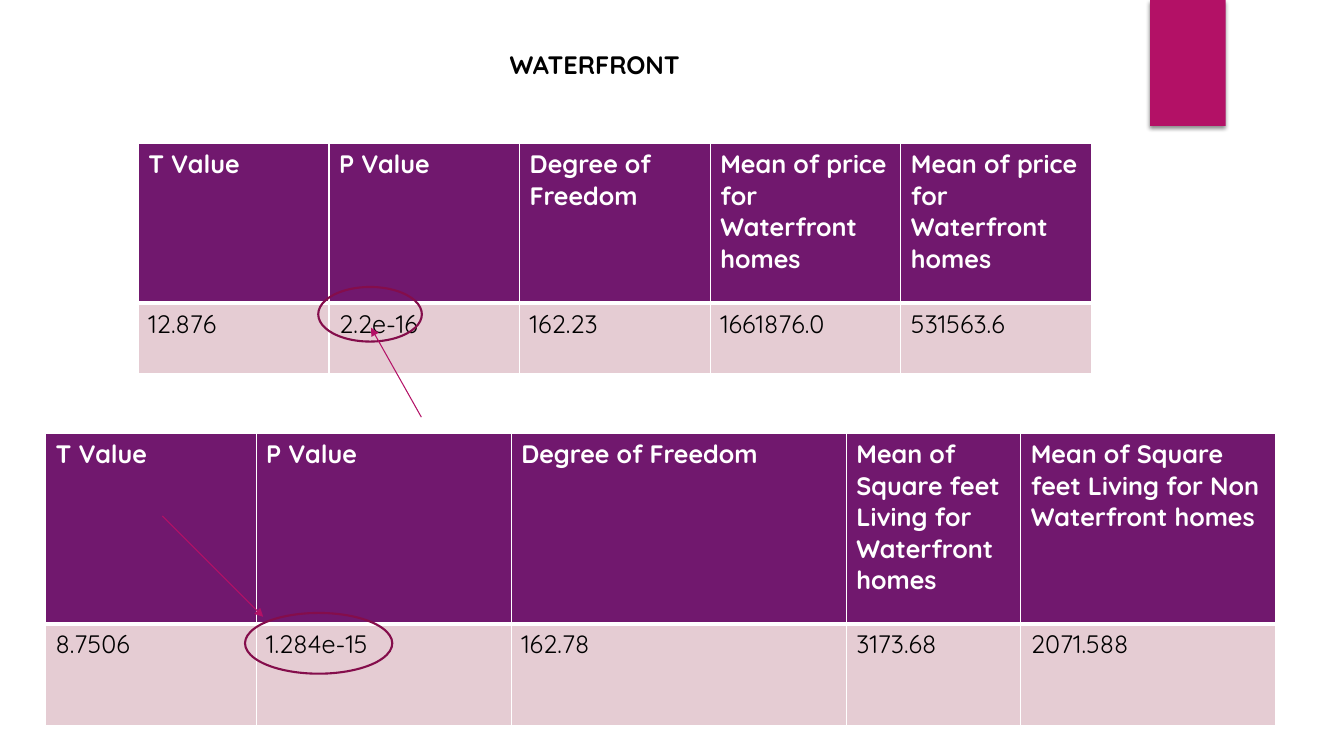
from lxml.etree import SubElement
from pptx import Presentation
from pptx.dml.color import RGBColor
from pptx.enum.shapes import MSO_CONNECTOR as Connector, MSO_SHAPE as Shape
from pptx.enum.text import MSO_ANCHOR as Anchor, MSO_AUTO_SIZE as AutoSize, PP_ALIGN as Align
from pptx.oxml import parse_xml
from pptx.oxml.ns import nsdecls, qn
from pptx.util import Pt

COLORS = {
    "accent": "B31166",
    "ring": "840D4B",
    "header": "71186E",
    "body": "E5CCD3",
    "white": "FFFFFF",
    "black": "000000",
}
FONT = {"name": "Quicksand", "size": Pt(18)}

PRICE_TABLE = [
    ["T Value", "P Value", "Degree of Freedom",
     "Mean of price for Waterfront homes", "Mean of price for Waterfront homes"],
    ["12.876", "2.2e-16", "162.23", "1661876.0", "531563.6"],
]
LIVING_TABLE = [
    ["T Value", "P Value", "Degree of Freedom",
     "Mean of Square feet Living for Waterfront homes",
     "Mean of Square feet Living for Non Waterfront homes"],
    ["8.7506", "1.284e-15", "162.78", "3173.68", "2071.588"],
]


def rgb(name):
    return RGBColor.from_string(COLORS[name])


def set_attributes(target, values):
    for name, value in values.items():
        setattr(target, name, value)


def format_font(font, color, bold):
    set_attributes(font, {**FONT, "bold": bold})
    font.color.rgb = rgb(color)


def add_title(slide, text, left, top, width, height):
    title = slide.shapes.title
    set_attributes(title, {"left": Pt(left), "top": Pt(top),
                           "width": Pt(width), "height": Pt(height)})
    frame = title.text_frame
    set_attributes(frame, {"text": text, "word_wrap": True, "vertical_anchor": Anchor.TOP,
                           "auto_size": AutoSize.SHAPE_TO_FIT_TEXT})
    paragraph = frame.paragraphs[0]
    paragraph.alignment = Align.CENTER
    format_font(paragraph.runs[0].font, "black", True)


def add_accent_bar(slide, left, top, width, height):
    bar = slide.shapes.add_shape(Shape.RECTANGLE, Pt(left), Pt(top), Pt(width), Pt(height))
    bar.fill.solid()
    bar.fill.fore_color.rgb = rgb("accent")
    bar.line.fill.background()
    # Soft shadow straight below
    bar._element.spPr.append(parse_xml(
        f'<a:effectLst {nsdecls("a")}>'
        f'<a:outerShdw blurRad="{Pt(3)}" dist="{Pt(2)}" dir="5400000" rotWithShape="0">'
        f'<a:srgbClr val="{COLORS["black"]}"><a:alpha val="45000"/></a:srgbClr>'
        '</a:outerShdw></a:effectLst>'))


def set_borders(cell, widths):
    properties = cell._tc.get_or_add_tcPr()
    for index, (side, width) in enumerate(widths.items()):
        properties.insert(index, parse_xml(
            f'<a:ln{side} {nsdecls("a")} w="{Pt(width)}"><a:solidFill>'
            f'<a:srgbClr val="{COLORS["white"]}"/></a:solidFill></a:ln{side}>'))


def add_result_table(slide, rows, left, top, column_widths, row_heights):
    table = slide.shapes.add_table(
        len(rows), len(column_widths), Pt(left), Pt(top),
        Pt(sum(column_widths)), Pt(sum(row_heights))).table
    for column, width in zip(table.columns, column_widths):
        column.width = Pt(width)
    for row, height in zip(table.rows, row_heights):
        row.height = Pt(height)
    for row_index, texts in enumerate(rows):
        is_header = row_index == 0
        for column_index, text in enumerate(texts):
            cell = table.cell(row_index, column_index)
            cell.text = text
            cell.fill.solid()
            cell.fill.fore_color.rgb = rgb("header" if is_header else "body")
            format_font(cell.text_frame.paragraphs[0].runs[0].font,
                        "white" if is_header else "black", is_header)
            # The edge between header and values is thicker
            set_borders(cell, {"L": 1, "R": 1, "T": 1 if is_header else 3,
                               "B": 3 if is_header else 1})


def add_ring(slide, left, top, width, height):
    ring = slide.shapes.add_shape(Shape.OVAL, Pt(left), Pt(top), Pt(width), Pt(height))
    ring.shadow.inherit = False
    ring.fill.background()
    ring.line.color.rgb = rgb("ring")
    ring.line.width = Pt(1.5)


def add_arrow(slide, start, end):
    arrow = slide.shapes.add_connector(Connector.STRAIGHT, *map(Pt, start + end))
    arrow.line.color.rgb = rgb("accent")
    arrow.line.width = Pt(0.75)
    SubElement(arrow.line._get_or_add_ln(), qn("a:tailEnd"), type="triangle")
    SubElement(arrow._element.spPr, qn("a:effectLst"))


def main():
    presentation = Presentation()
    set_attributes(presentation, {"slide_width": Pt(960), "slide_height": Pt(540)})
    slide = presentation.slides.add_slide(presentation.slide_layouts[5])

    # Heading and decoration
    add_accent_bar(slide, 821.5, 0, 54, 90)
    add_title(slide, "WATERFRONT", 301.7, 31.7, 246.2, 29)

    # Price comparison
    add_result_table(slide, PRICE_TABLE, 98.8, 102.5, [136.2] * 5, [114, 50.5])
    add_ring(slide, 227.3, 205, 74, 39)
    add_arrow(slide, (301, 298), (265, 234))

    # Living area comparison
    add_result_table(slide, LIVING_TABLE, 32.6, 309.5,
                     [150.4, 182.2, 239.4, 124.6, 182.2], [136, 72.5])
    add_ring(slide, 175, 437.8, 105.2, 43.4)
    add_arrow(slide, (116, 368.6), (188, 440.6))

    presentation.save("out.pptx")


if __name__ == "__main__":
    main()
